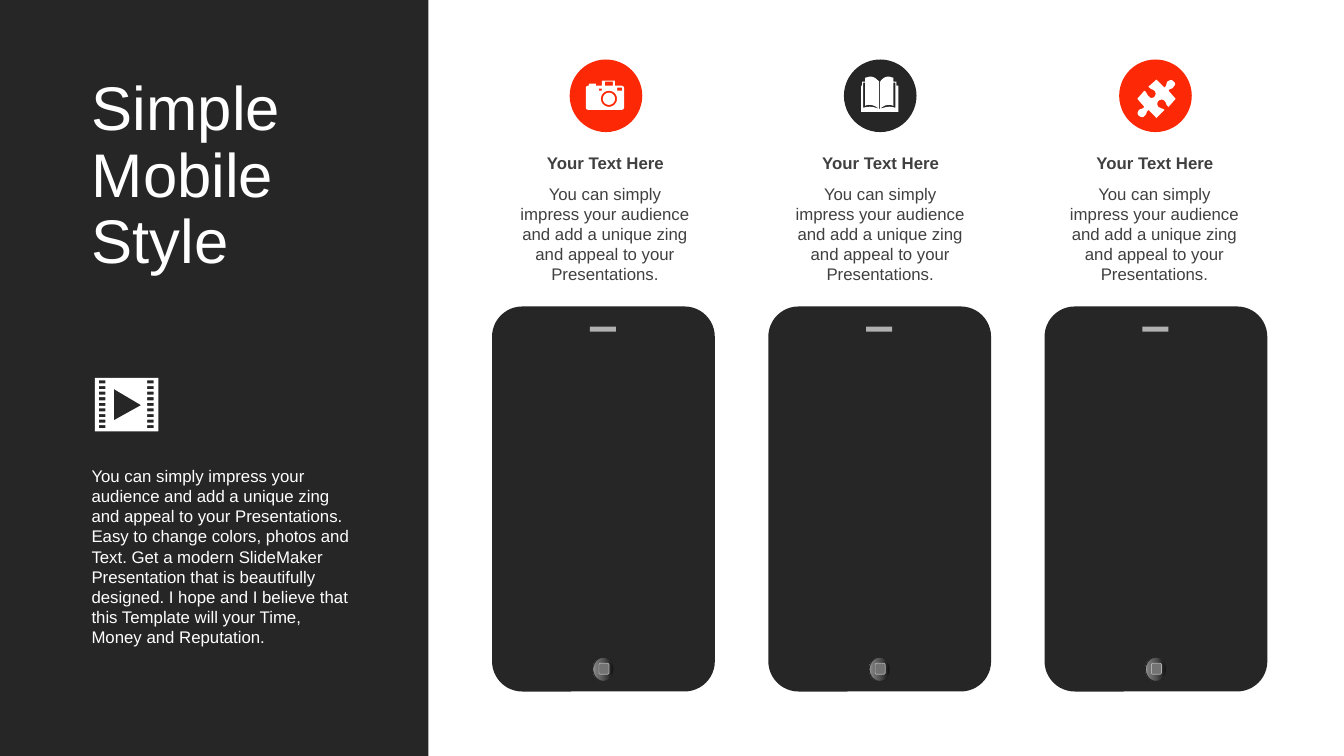
import pptx
import pptx.util
import pptx.dml.color
import pptx.enum.shapes
import pptx.enum.text
import pptx.oxml.ns
from lxml import etree

PX = 9144  # EMU per px, at 100 px to the inch
DARK, RED, WHITE, GREY, SILVER = "262626", "FD2906", "FFFFFF", "404040", "B0B0B0"
SHAPE = pptx.enum.shapes.MSO_SHAPE
ALIGN = pptx.enum.text.PP_ALIGN
BLURB = "You can simply impress your audience and add a unique zing and appeal to your Presentations."
INTRO = BLURB + (" Easy to change colors, photos and Text. Get a modern SlideMaker "
                 "Presentation that is beautifully designed. I hope and I believe that "
                 "this Template will your Time, Money and Reputation.")


def rgb(value):
    return pptx.dml.color.RGBColor.from_string(value)


def write(tf, text, size=12, color=WHITE, bold=False, align=ALIGN.LEFT, spacing=None):
    tf.word_wrap = True
    tf.auto_size = pptx.enum.text.MSO_AUTO_SIZE.SHAPE_TO_FIT_TEXT
    tf.vertical_anchor = pptx.enum.text.MSO_ANCHOR.TOP
    p = tf.paragraphs[0]
    p.alignment, p.line_spacing = align, spacing
    r = p.add_run()
    r.text = text
    r.font.name, r.font.size, r.font.bold = "Arial", pptx.util.Pt(size), bold
    r.font.color.rgb = rgb(color)


def box(x, y, w, h):
    return [(x, y), (x + w, y), (x + w, y + h), (x, y + h)]


def circle(x, y, r):
    k = r * 0.55
    return [(x, y - r), (x + k, y - r, x + r, y - k, x + r, y),
            (x + r, y + k, x + k, y + r, x, y + r),
            (x - k, y + r, x - r, y + k, x - r, y),
            (x - r, y - k, x - k, y - r, x, y - r)]


def flatten(outline, steps=8):
    """Turn points and cubic curves (six numbers) into EMU points."""
    points = []
    for step in outline:
        if len(step) == 2:
            points.append(step)
            continue
        nodes = [points[-1], step[:2], step[2:4], step[4:]]
        for i in range(1, steps + 1):
            t = i / steps
            weights = ((1 - t) ** 3, 3 * t * (1 - t) ** 2, 3 * t * t * (1 - t), t ** 3)
            points.append(tuple(sum(w * n[axis] for w, n in zip(weights, nodes))
                                for axis in (0, 1)))
    return [(round(x * PX), round(y * PX)) for x, y in points]


class Deck:
    def __init__(self):
        self.prs = pptx.Presentation()
        self.prs.slide_width, self.prs.slide_height = 1333 * PX, 750 * PX
        self.s = self.prs.slides.add_slide(self.prs.slide_layouts[5])

    def shape(self, kind, x, y, w, h, fill, line=None, width=0, radius=None):
        sp = self.s.shapes.add_shape(kind, x * PX, y * PX, w * PX, h * PX)
        if radius is not None:
            sp.adjustments[0] = radius
        return self.paint(sp, fill, line, width)

    def paint(self, sp, fill, line=None, width=0):
        sp.shadow.inherit = False
        sp.fill.solid()
        sp.fill.fore_color.rgb = rgb(fill)
        if line:
            sp.line.color.rgb = rgb(line)
            sp.line.width = pptx.util.Pt(width)
        else:
            sp.line.fill.background()
        return sp

    def gradient(self, sp, stops, angle):
        qn = pptx.oxml.ns.qn
        sp.fill.gradient()
        sp.fill.gradient_angle = angle
        stop_list = sp.element.spPr.find(qn("a:gradFill")).find(qn("a:gsLst"))
        for old in list(stop_list):
            stop_list.remove(old)
        for percent, color in stops:
            stop = etree.SubElement(stop_list, qn("a:gs"), pos=str(percent * 1000))
            etree.SubElement(stop, qn("a:srgbClr"), val=color)

    def icon(self, outlines):
        first, *rest = [flatten(outline) for outline in outlines]
        builder = self.s.shapes.build_freeform(*first[0], scale=1.0)
        builder.add_line_segments(first[1:], close=True)
        for points in rest:
            builder.move_to(*points[0])
            builder.add_line_segments(points[1:], close=True)
        self.paint(builder.convert_to_shape(), WHITE)

    def text(self, x, y, w, h, text, **style):
        tb = self.s.shapes.add_textbox(x * PX, y * PX, w * PX, h * PX)
        write(tb.text_frame, text, **style)

    def title(self, x, y, w, h, text, **style):
        sp = self.s.shapes.title
        self.s.shapes.element.append(sp.element)  # bring in front of the panel
        sp.left, sp.top, sp.width, sp.height = x * PX, y * PX, w * PX, h * PX
        write(sp.text_frame, text, **style)

    def phone(self, x):
        self.shape(SHAPE.ROUNDED_RECTANGLE, x, 304, 221, 382, DARK, radius=0.136)
        self.shape(SHAPE.RECTANGLE, x + 97, 324, 26, 5, SILVER)
        home = self.shape(SHAPE.OVAL, x + 100, 652, 21, 24, DARK, line=DARK)
        self.gradient(home, [(0, "0F0F0F"), (56, "595959"), (91, "808080"), (100, "BFBFBF")], 180)
        self.shape(SHAPE.ROUNDED_RECTANGLE, x + 106, 658, 10, 11, "737373", line=SILVER, width=0.5)


# Icon outlines
FILM = [box(94, 375, 63, 53), [(113, 386), (113, 417), (140, 402)]]
FILM += [box(x, 377.5 + 5.55 * row, 6.5, 3) for row in range(9) for x in (98, 146)]

CAMERA = [
    [(598, 80), (609, 80), (610, 80, 610, 80, 610, 81), (610, 85), (616, 85),
     (618, 85, 619, 86, 619, 88), (619, 106), (619, 108, 618, 109, 616, 109), (584, 109),
     (582, 109, 581, 108, 581, 106), (581, 88), (581, 86, 582, 85, 584, 85), (584, 84),
     (584, 83, 585, 83, 585, 83), (591, 83), (591, 83, 591, 83, 591, 84), (591, 85),
     (597, 85), (597, 81), (597, 80, 598, 80, 598, 80)],
    circle(604, 98, 8), circle(604, 98, 6),
    box(594, 88, 3, 2), box(612, 87, 5, 3), box(600, 81, 8, 4),
]

BOOK = [[
    (872, 108), (872, 108, 873, 108, 873, 108), (879, 106, 882, 105, 888, 107), (888, 82),
    (886, 82), (886, 105), (882, 103, 877, 104, 873, 108), (873, 81),
    (875, 78, 878, 76, 881, 76), (883, 76, 884, 77, 886, 77), (886, 81), (889, 81),
    (889, 85), (891, 85), (891, 111), (854, 111), (854, 85), (855, 85), (855, 81),
    (858, 81), (858, 77), (860, 77, 862, 76, 863, 76), (867, 76, 869, 78, 872, 81),
    (872, 108), (867, 104, 862, 103, 858, 105), (858, 82), (856, 82), (856, 107),
    (863, 105, 866, 106, 872, 108),
]]

PUZZLE = [[
    (1164, 81), (1166, 82, 1166, 84, 1164, 86), (1163, 89, 1160, 87, 1159, 90), (1166, 98),
    (1159, 106), (1156, 104, 1157, 102, 1155, 100), (1153, 98, 1150, 99, 1149, 100),
    (1148, 101, 1147, 104, 1149, 106), (1152, 108, 1152, 107, 1155, 109), (1147, 117),
    (1139, 109), (1136, 112, 1138, 113, 1135, 115), (1134, 117, 1131, 116, 1130, 115),
    (1128, 114, 1128, 112, 1129, 110), (1131, 107, 1133, 109, 1135, 106), (1128, 98),
    (1135, 90), (1138, 92, 1137, 94, 1140, 96), (1141, 98, 1144, 97, 1145, 96),
    (1146, 95, 1147, 92, 1145, 90), (1142, 88, 1142, 89, 1139, 86), (1147, 79), (1155, 87),
    (1158, 84, 1156, 83, 1158, 81), (1160, 79, 1163, 79, 1164, 81),
]]

# Circle left, text left, circle colour, icon
COLUMNS = [(565, 503, RED, CAMERA), (837, 776, DARK, BOOK), (1110, 1048, RED, PUZZLE)]


def main():
    deck = Deck()

    # Left panel
    deck.shape(SHAPE.RECTANGLE, 0, 0, 425, 750, DARK)
    deck.title(81, 72, 235, 210, "Simple Mobile Style", size=44, spacing=0.9)
    deck.icon(FILM)
    deck.text(81, 457, 280, 192, INTRO)

    # Three columns, each above a phone
    for i, (circle_x, text_x, color, outlines) in enumerate(COLUMNS):
        deck.phone(488 + 274 * i)
        deck.shape(SHAPE.OVAL, circle_x, 59, 72, 72, color)
        deck.icon(outlines)
        deck.text(text_x, 147, 195, 30, "Your Text Here", color=GREY, bold=True, align=ALIGN.CENTER)
        deck.text(text_x + 1, 177, 192, 111, BLURB, color=GREY, align=ALIGN.CENTER)

    deck.prs.save("out.pptx")


if __name__ == "__main__":
    main()
